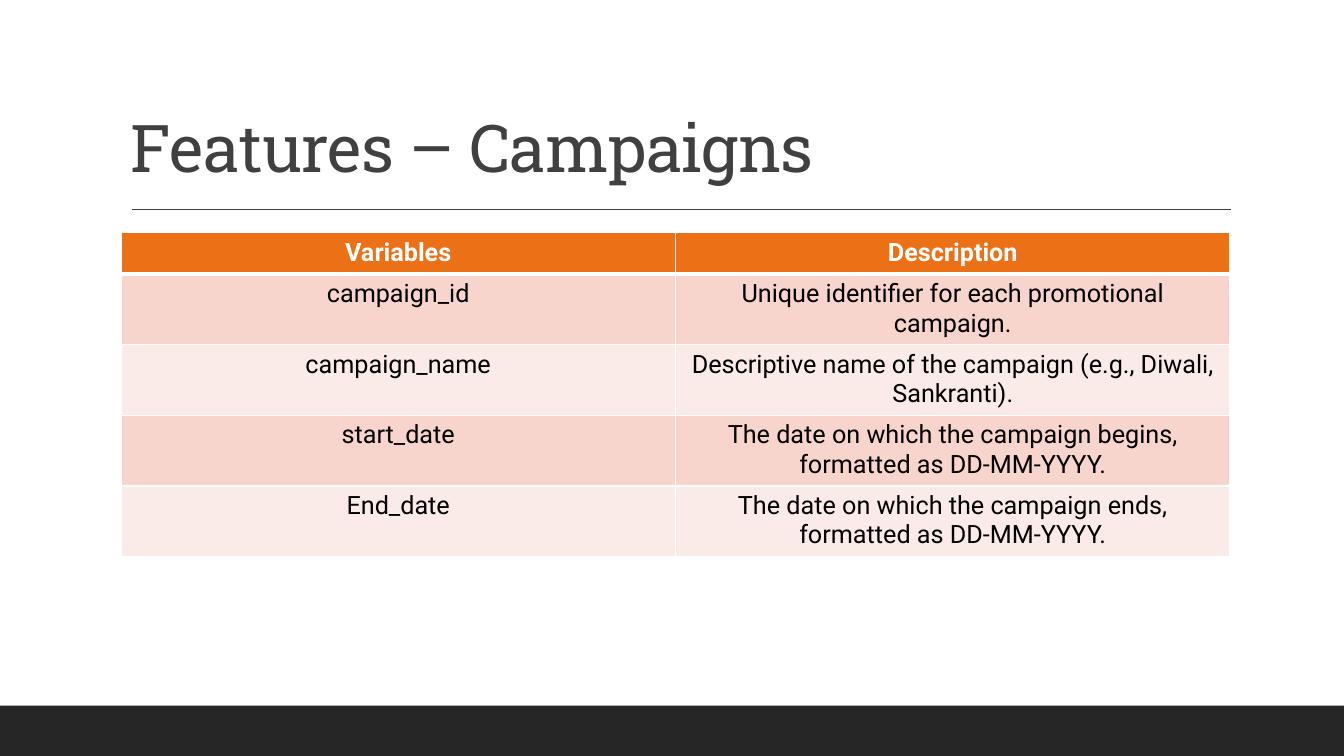
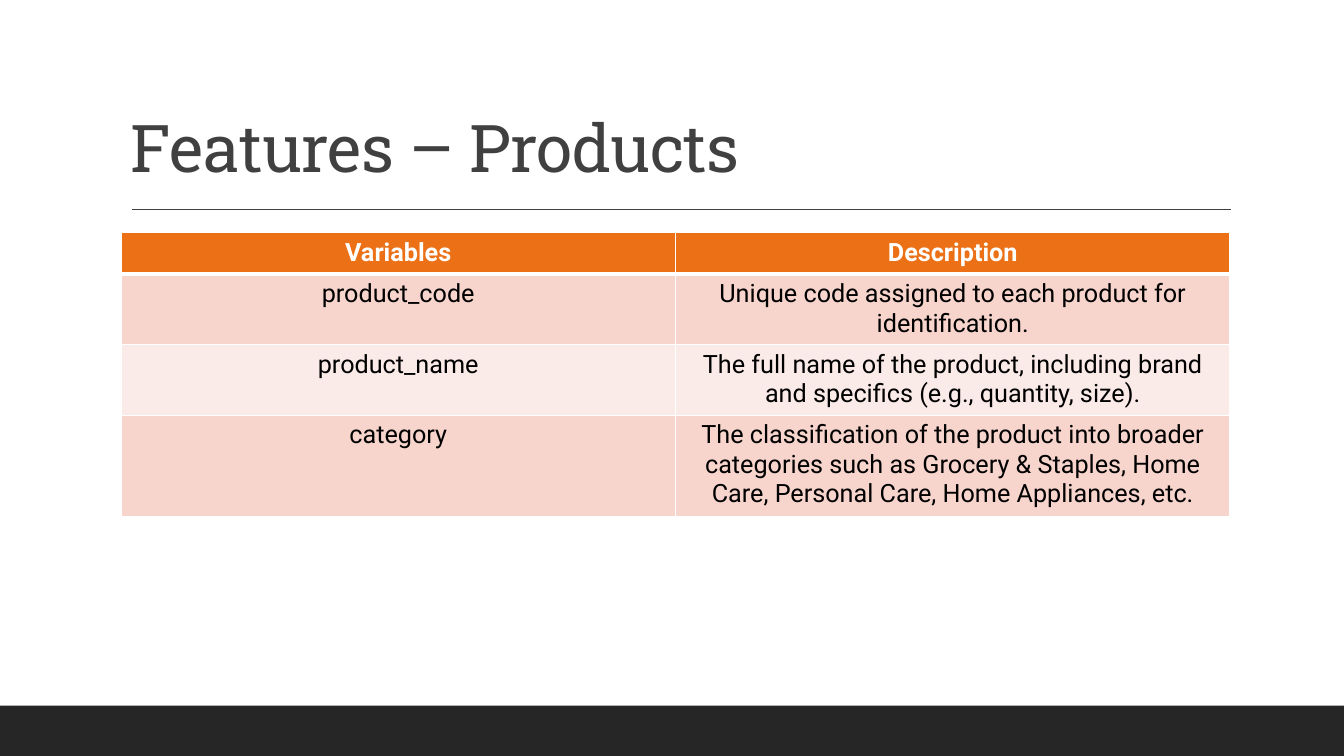
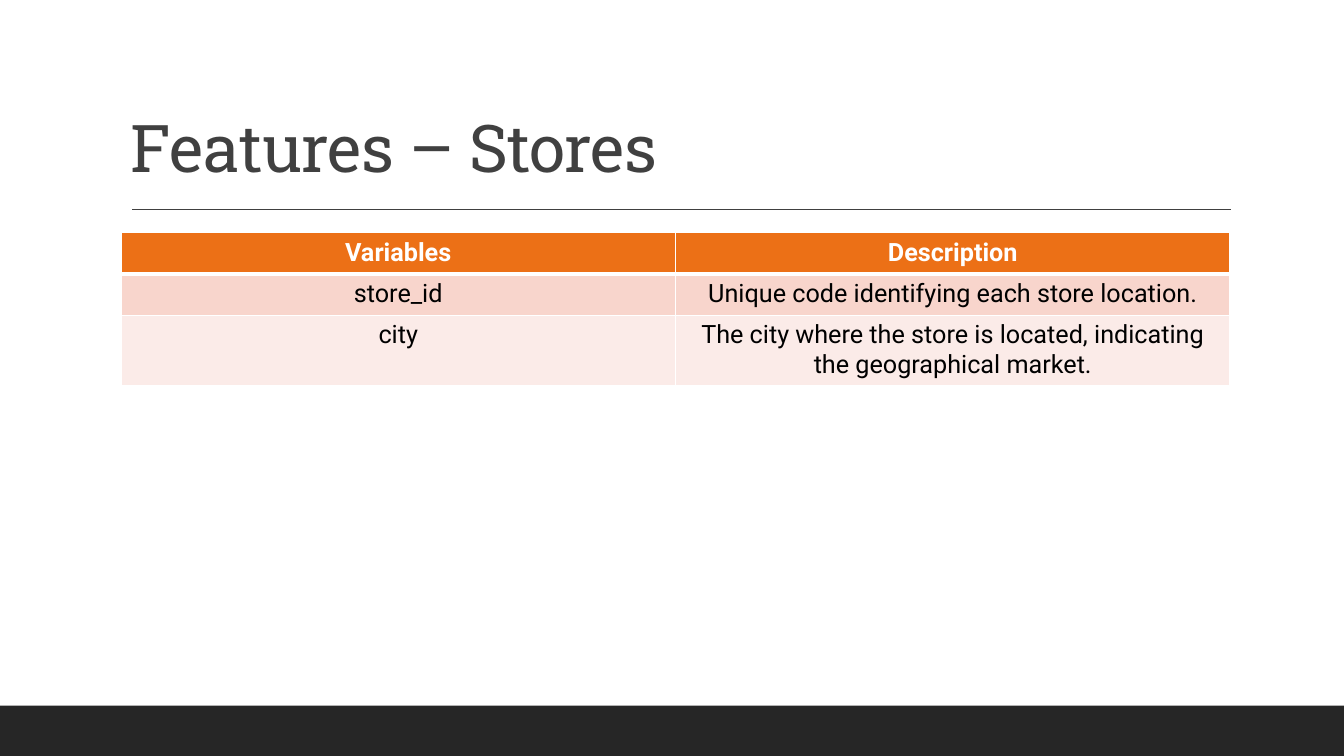
from lxml.etree import SubElement
from pptx import Presentation
from pptx.dml.color import RGBColor
from pptx.enum.shapes import MSO_CONNECTOR, MSO_SHAPE
from pptx.enum.text import MSO_ANCHOR, PP_ALIGN
from pptx.oxml.ns import qn
from pptx.util import Inches, Pt

WHITE = RGBColor(0xFF, 0xFF, 0xFF)
BLACK = RGBColor(0x00, 0x00, 0x00)
CHARCOAL = RGBColor(0x26, 0x26, 0x26)
GRAY = RGBColor(0x40, 0x40, 0x40)
ORANGE = RGBColor(0xEC, 0x70, 0x16)
BAND_FILLS = (RGBColor(0xF8, 0xD5, 0xCC), RGBColor(0xFB, 0xEB, 0xE8))

TITLE_FONT = "Roboto Slab"
BODY_FONT = "Roboto"
SLIDE_WIDTH, SLIDE_HEIGHT = 13.33, 7.5
LEFT, CONTENT_WIDTH = 1.2, 11
ROW_HEIGHT = 0.41
THIN, THICK = 1, 3

HEADER = ("Variables", "Description")
FEATURES = {
    "Campaigns": [
        ("campaign_id", "Unique identifier for each promotional campaign."),
        ("campaign_name", "Descriptive name of the campaign (e.g., Diwali, Sankranti)."),
        ("start_date", "The date on which the campaign begins, formatted as DD-MM-YYYY."),
        ("End_date", "The date on which the campaign ends, formatted as DD-MM-YYYY."),
    ],
    "Products": [
        ("product_code", "Unique code assigned to each product for identification."),
        ("product_name", "The full name of the product, including brand and specifics "
                         "(e.g., quantity, size)."),
        ("category", "The classification of the product into broader categories such as "
                     "Grocery & Staples, Home Care, Personal Care, Home Appliances, etc."),
    ],
    "Stores": [
        ("store_id", "Unique code identifying each store location."),
        ("city", "The city where the store is located, indicating the geographical market."),
    ],
}


class FeatureDeck:
    def __init__(self):
        self.prs = Presentation()
        self.prs.slide_width = Inches(SLIDE_WIDTH)
        self.prs.slide_height = Inches(SLIDE_HEIGHT)
        self.slide = None

    def new_slide(self, title):
        self.slide = self.prs.slides.add_slide(self.prs.slide_layouts[6])
        self.footer_band()
        self.title_rule()
        self.title(title)

    def footer_band(self):
        height = 0.5
        band = self.slide.shapes.add_shape(
            MSO_SHAPE.RECTANGLE, 0, Inches(SLIDE_HEIGHT - height),
            Inches(SLIDE_WIDTH), Inches(height))
        band.shadow.inherit = False
        band.fill.solid()
        band.fill.fore_color.rgb = CHARCOAL
        band.line.fill.background()

    def title_rule(self):
        y = Inches(2.08)
        rule = self.slide.shapes.add_connector(
            MSO_CONNECTOR.STRAIGHT, Inches(1.31), y, Inches(12.21), y)
        rule.line.color.rgb = GRAY
        rule.line.width = Pt(1)
        SubElement(rule._element.spPr, qn("a:effectLst"))

    def title(self, text):
        box = self.slide.shapes.add_textbox(
            Inches(LEFT), Inches(0.31), Inches(CONTENT_WIDTH), Inches(1.59))
        frame = box.text_frame
        frame.word_wrap = True
        frame.vertical_anchor = MSO_ANCHOR.BOTTOM
        paragraph = frame.paragraphs[0]
        paragraph.line_spacing = 0.9
        run = self.add_run(paragraph, text, TITLE_FONT, 47, GRAY)
        run._r.get_or_add_rPr().set("spc", "-50")

    def table(self, rows):
        grid = [HEADER, *rows]
        table = self.slide.shapes.add_table(
            len(grid), len(HEADER), Inches(LEFT), Inches(2.31),
            Inches(CONTENT_WIDTH), Inches(ROW_HEIGHT * len(grid))).table
        for row_index, texts in enumerate(grid):
            table.rows[row_index].height = Inches(ROW_HEIGHT)
            for column_index, text in enumerate(texts):
                self.table_cell(table.cell(row_index, column_index), text, row_index)

    def table_cell(self, cell, text, row_index):
        is_header = row_index == 0
        self.cell_borders(cell, top=THICK if row_index == 1 else THIN,
                          bottom=THICK if is_header else THIN)
        cell.fill.solid()
        cell.fill.fore_color.rgb = ORANGE if is_header else BAND_FILLS[(row_index - 1) % 2]
        paragraph = cell.text_frame.paragraphs[0]
        paragraph.alignment = PP_ALIGN.CENTER
        self.add_run(paragraph, text, BODY_FONT, 18,
                     WHITE if is_header else BLACK, bold=is_header)

    @staticmethod
    def cell_borders(cell, top, bottom):
        """Add white borders; call before filling, as the fill must follow them."""
        properties = cell._tc.get_or_add_tcPr()
        for side, points in (("L", THIN), ("R", THIN), ("T", top), ("B", bottom)):
            border = SubElement(properties, qn(f"a:ln{side}"), w=str(Pt(points)))
            fill = SubElement(border, qn("a:solidFill"))
            SubElement(fill, qn("a:srgbClr"), val=str(WHITE))

    @staticmethod
    def add_run(paragraph, text, font_name, size, color, bold=False):
        run = paragraph.add_run()
        run.text = text
        run.font.name = font_name
        run.font.size = Pt(size)
        run.font.color.rgb = color
        run.font.bold = bold
        return run


def main():
    deck = FeatureDeck()
    for subject, variables in FEATURES.items():
        deck.new_slide(f"Features – {subject}")
        deck.table(variables)
    deck.prs.save("out.pptx")


if __name__ == "__main__":
    main()
